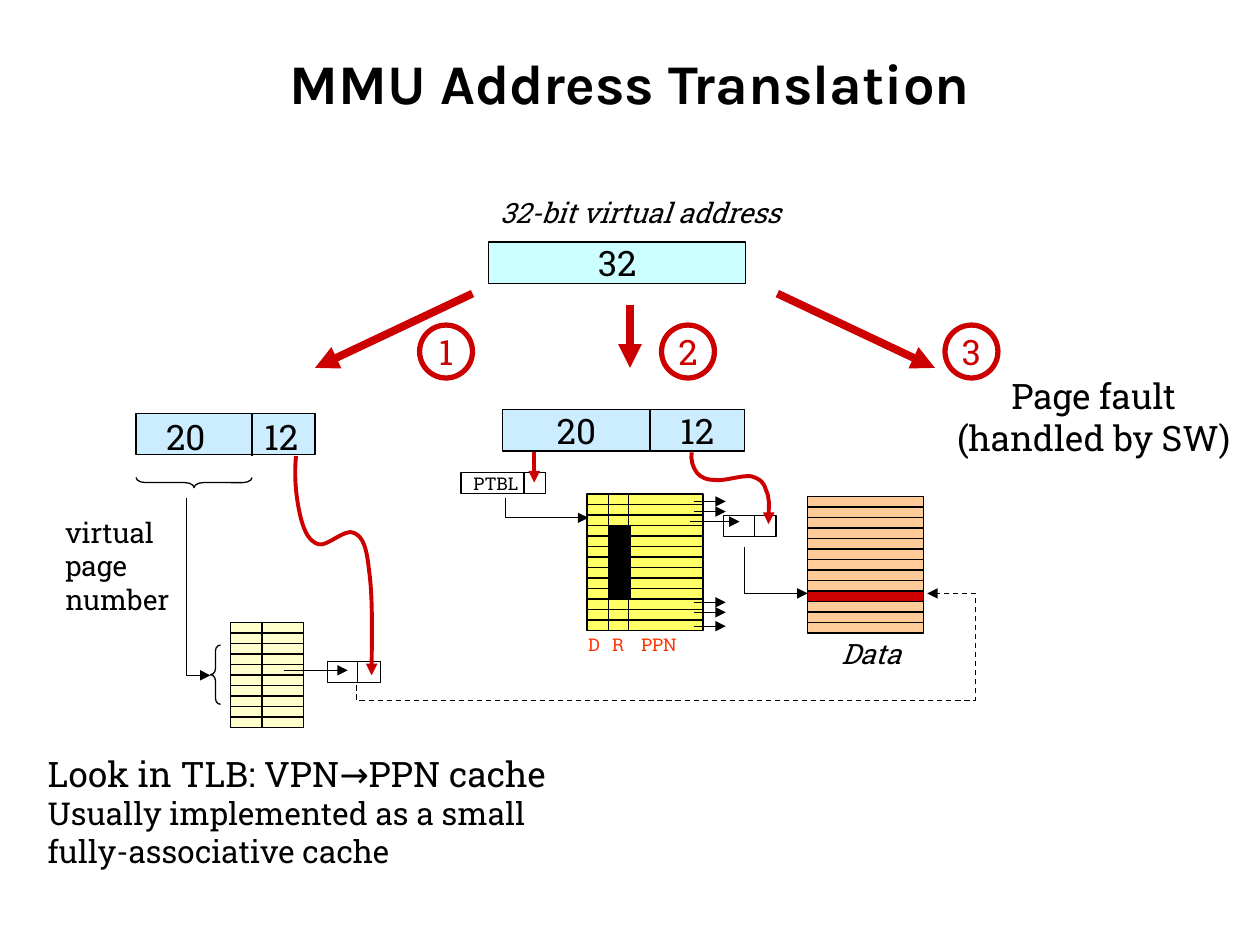
from lxml import etree
from pptx import Presentation
from pptx.dml.color import RGBColor
from pptx.enum.dml import MSO_LINE
from pptx.enum.shapes import MSO_CONNECTOR, MSO_SHAPE
from pptx.enum.text import MSO_ANCHOR, MSO_AUTO_SIZE, PP_ALIGN
from pptx.oxml.ns import qn
from pptx.util import Inches, Pt

RECT, OVAL = MSO_SHAPE.RECTANGLE, MSO_SHAPE.OVAL
LEFT_BRACE, RIGHT_BRACE = MSO_SHAPE.LEFT_BRACE, MSO_SHAPE.RIGHT_BRACE
STRAIGHT, DASH = MSO_CONNECTOR.STRAIGHT, MSO_LINE.DASH
LEFT, CENTER = PP_ALIGN.LEFT, PP_ALIGN.CENTER
TOP, MIDDLE = MSO_ANCHOR.TOP, MSO_ANCHOR.MIDDLE
GROW = MSO_AUTO_SIZE.SHAPE_TO_FIT_TEXT

BODY, HEAD = "Roboto Slab", "Karla"
COLORS = {
    "black": "000000", "white": "FFFFFF", "red": "CC0000", "orange": "FF3300",
    "virtual": "CCFFFF", "split": "CCECFF", "tlb": "FFFFCC",
    "page table": "FFFF66", "data": "FFCC99",
}
ROW = 1 / 12

# left, top, width, height, fill, text, size, alignment
BOXES = [
    (3.88, 1.92, 2.04, 0.33, "virtual", "32", 20, CENTER),
    (3.99, 3.25, 1.17, 0.33, "split", "20", 20, CENTER),
    (5.16, 3.25, 0.75, 0.33, "split", "12", 20, CENTER),
    (1.08, 3.28, 1.42, 0.33, "split", "", 20, CENTER),
    (3.66, 3.75, 0.67, 0.17, "white", "PTBL", 10, LEFT),
    (5.74, 4.09, 0.42, 0.17, "white", "", 10, LEFT),
    (2.6, 5.25, 0.42, 0.17, "white", "", 10, LEFT),
]
# left, top, width, rows, fill, column dividers
TABLES = [
    (6.41, 3.94, 0.92, 13, "data", []),
    (4.66, 3.92, 0.92, 13, "page table", [4.83, 4.99]),
    (1.83, 4.94, 0.58, 10, "tlb", [2.08]),
]
# left, table top, width, first row, rows, fill
MARKED_ROWS = [
    (6.41, 3.94, 0.92, 9, 1, "red"),
    (4.83, 3.92, 0.17, 3, 7, "black"),
]
STEPS = [(3.33, "1"), (5.25, "2"), (7.5, "3")]
STEP_ARROWS = [(3.75, 2.33, 2.5, 2.92), (5, 2.42, 5, 2.92), (6.17, 2.33, 7.42, 2.92)]
DIVIDERS = [(2, 3.28, 0.34), (4.16, 3.75, 0.17), (5.99, 4.09, 0.16), (2.84, 5.25, 0.17)]
PAGE_ENTRY_YS = [3.98, 4.06, 4.78, 4.86, 4.97]
LOOKUP_ARROWS = [(5.48, 4.14, 5.87, 4.14), (2.25, 5.32, 2.76, 5.32)]
ELBOWS = [
    [(5.91, 4.34), (5.91, 4.71), (6.41, 4.71)],
    [(4.01, 3.95), (4.01, 4.11), (4.67, 4.11)],
    [(1.48, 3.95), (1.48, 5.36), (1.67, 5.36)],
]
TLB_TO_DATA = [(2.83, 5.44), (2.83, 5.56), (7.74, 5.56), (7.74, 4.71), (7.36, 4.71)]
# start point, then three Bezier points for each segment
OFFSET_CURVES = [
    [(5.49, 3.59), (5.48, 3.65), (5.5, 3.71), (5.53, 3.75),
     (5.56, 3.79), (5.61, 3.81), (5.68, 3.81), (5.75, 3.82), (5.89, 3.77), (5.96, 3.78),
     (6.03, 3.8), (6.06, 3.82), (6.08, 3.89), (6.11, 3.95), (6.1, 4.1), (6.1, 4.16)],
    [(2.35, 3.62), (2.33, 3.82), (2.36, 4), (2.39, 4.12),
     (2.42, 4.23), (2.46, 4.3), (2.53, 4.32), (2.6, 4.34), (2.74, 4.19), (2.81, 4.23),
     (2.88, 4.26), (2.91, 4.34), (2.93, 4.53), (2.96, 4.73), (2.95, 5.19), (2.95, 5.36)],
]
# shape, left, top, width, height, curvature, rotation
BRACES = [
    (RIGHT_BRACE, 1.5, 3.37, 0.08, 0.92, 0.92, 90),
    (LEFT_BRACE, 1.67, 5.12, 0.08, 0.47, 0.58, 0),
]
# left, top, width, height, lines with sizes, format
LABELS = [
    (3.87, 1.5, 2.59, 0.37, [("32-bit virtual address", 16)], {"italic": True}),
    (7.42, 2.92, 2.52, 0.77, [("Page fault", 20), ("(handled by SW)", 20)], {"align": CENTER}),
    (6.58, 5, 0.78, 0.37, [("Data", 16)], {"italic": True}),
    (0.42, 4.04, 1.1, 0.91, [("virtual\vpage\vnumber", 16)], {}),
    (1.22, 3.25, 0.55, 0.44, [("20", 20)], {}),
    (2, 3.25, 0.55, 0.44, [("12", 20)], {}),
    (4.57, 4.98, 1.01, 0.27, [("D\tR\tPPN", 10)], {"color": "orange", "tabs": [0.19, 0.42]}),
    (0.28, 5.92, 4.3, 1.04, [("Look in TLB: VPN→PPN cache", 20),
     ("Usually implemented as a small fully-associative cache", 18)], {"wrap": True}),
    (0.5, 0.3, 9, 0.7, [("MMU Address Translation", 32)],
     {"align": CENTER, "name": HEAD, "bold": True, "wrap": True, "anchor": MIDDLE, "grow": False}),
]

prs = Presentation()
prs.slide_width, prs.slide_height = Inches(10), Inches(7.5)
s = prs.slides.add_slide(prs.slide_layouts[6])


def rgb(name):
    return RGBColor.from_string(COLORS[name])


def style_line(sp, color="black", width=0.75, arrow=False, dash=None):
    sp.line.color.rgb = rgb(color)
    sp.line.width = Pt(width)
    if dash:
        sp.line.dash_style = dash
    if arrow:
        ln = sp._element.spPr.find(qn("a:ln"))
        etree.SubElement(ln, qn("a:tailEnd"), type="triangle")


def add_line(x1, y1, x2, y2, **line):
    sp = s.shapes.add_connector(STRAIGHT, *map(Inches, (x1, y1, x2, y2)))
    style_line(sp, **line)
    etree.SubElement(sp._element.spPr, qn("a:effectLst"))


def add_path(points, curved=False, **line):
    points = [(Inches(x), Inches(y)) for x, y in points]
    builder = s.shapes.build_freeform(*points[0])
    builder.add_line_segments(points[1:], close=False)
    sp = builder.convert_to_shape()
    sp.shadow.inherit = False
    sp.fill.background()
    style_line(sp, **line)
    if curved:
        path = next(sp._element.iter(qn("a:path")))
        segments = path.findall(qn("a:lnTo"))
        for i in range(0, len(segments), 3):
            bezier = etree.SubElement(path, qn("a:cubicBezTo"))
            for segment in segments[i:i + 3]:
                bezier.append(segment[0])
                path.remove(segment)


def set_text(sp, lines, align=LEFT, color="black", name=BODY, bold=False, italic=False,
             wrap=False, anchor=TOP, tabs=()):
    tf = sp.text_frame
    tf.word_wrap, tf.vertical_anchor = wrap, anchor
    for i, (text, size) in enumerate(lines):
        p = tf.add_paragraph() if i else tf.paragraphs[0]
        p.text, p.alignment = text, align
        if tabs:
            stops = etree.SubElement(p._p.get_or_add_pPr(), qn("a:tabLst"))
            for pos in tabs:
                etree.SubElement(stops, qn("a:tab"), pos=str(Inches(pos)), algn="l")
        for r in p.runs:
            for key, value in {"name": name, "size": Pt(size), "bold": bold, "italic": italic}.items():
                setattr(r.font, key, value)
            r.font.color.rgb = rgb(color)


def add_box(kind, x, y, w, h, fill=None, **line):
    sp = s.shapes.add_shape(kind, *map(Inches, (x, y, w, h)))
    sp.shadow.inherit = False
    if fill:
        sp.fill.solid()
        sp.fill.fore_color.rgb = rgb(fill)
    else:
        sp.fill.background()
    style_line(sp, **line)
    return sp


for x, y, w, h, fill, text, size, align in BOXES:
    sp = add_box(RECT, x, y, w, h, fill)
    if text:
        set_text(sp, [(text, size)], align=align, anchor=MIDDLE)

for x, y, w, rows, fill, columns in TABLES:
    add_box(RECT, x, y, w, rows * ROW, fill)
    for i in range(1, rows):
        add_line(x, y + i * ROW, x + w, y + i * ROW)
    for column in columns:
        add_line(column, y, column, y + rows * ROW)
for x, y, w, first, rows, fill in MARKED_ROWS:
    add_box(RECT, x, y + first * ROW, w, rows * ROW, fill)

for x, number in STEPS:
    sp = add_box(OVAL, x, 2.58, 0.42, 0.42, "white", color="red", width=3)
    set_text(sp, [(number, 20)], align=CENTER, color="red", anchor=MIDDLE)
for ends in STEP_ARROWS:
    add_line(*ends, color="red", width=4.5, arrow=True)

for x, y, h in DIVIDERS:
    add_line(x, y, x, y + h)
for ends in LOOKUP_ARROWS + [(5.51, y, 5.76, y) for y in PAGE_ENTRY_YS]:
    add_line(*ends, arrow=True)
add_line(4.24, 3.59, 4.24, 3.83, color="red", width=2.25, arrow=True)

for points in ELBOWS:
    add_path(points, arrow=True)
add_path(TLB_TO_DATA, arrow=True, dash=DASH)
for points in OFFSET_CURVES:
    add_path(points, curved=True, color="red", width=2.25, arrow=True)

for kind, x, y, w, h, curvature, rotation in BRACES:
    sp = add_box(kind, x, y, w, h)
    sp.adjustments[0], sp.rotation = curvature, rotation

for x, y, w, h, lines, style in LABELS:
    sp = s.shapes.add_textbox(*map(Inches, (x, y, w, h)))
    set_text(sp, lines, **{key: value for key, value in style.items() if key != "grow"})
    if style.get("grow", True):
        sp.text_frame.auto_size = GROW

prs.save("out.pptx")
